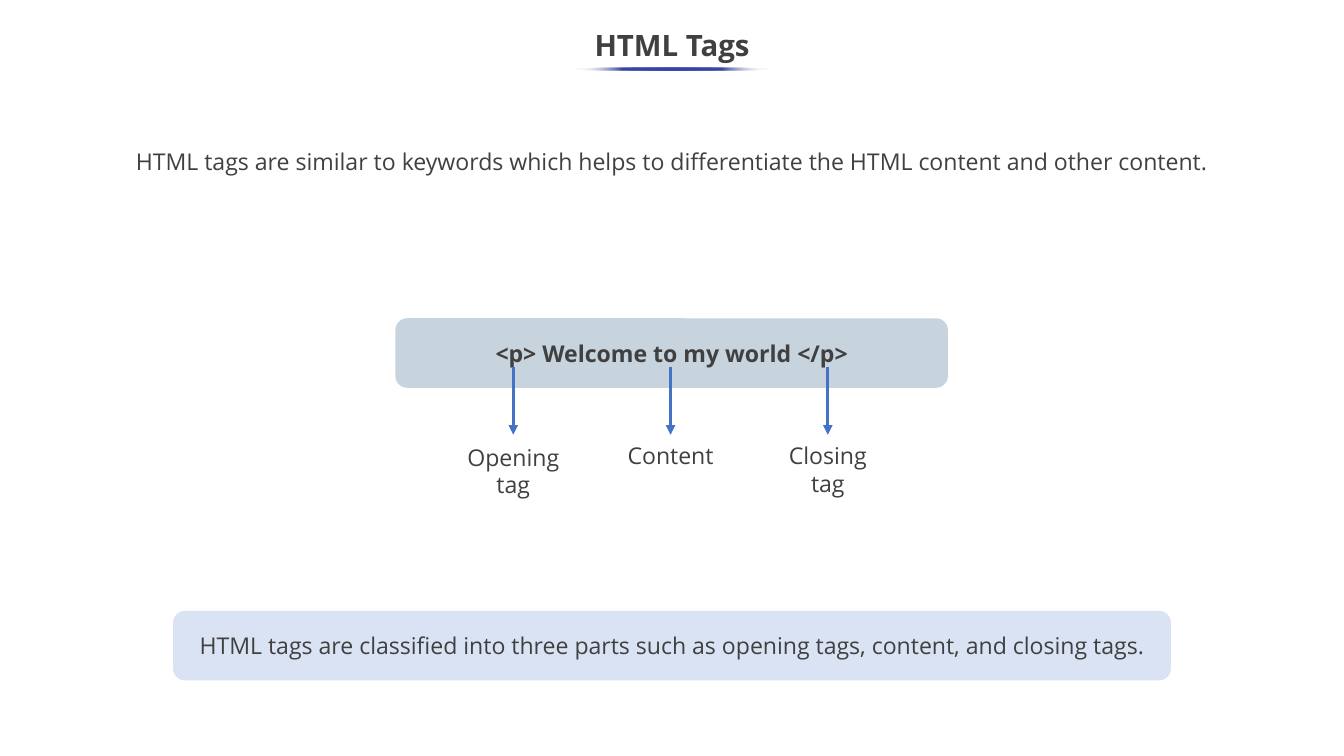
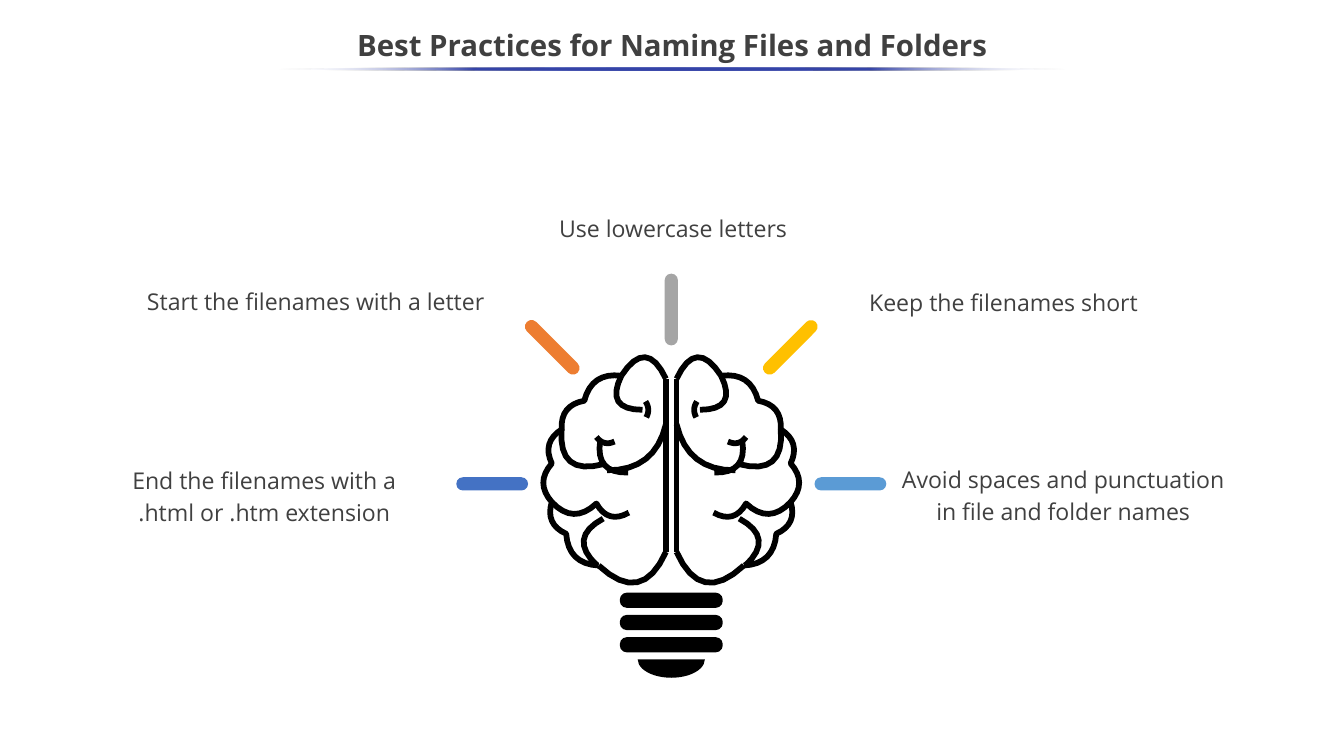
"""Build two slides: HTML tags and best practices for naming files and folders."""
from dataclasses import dataclass
from itertools import pairwise

from pptx import Presentation
from pptx.dml.color import RGBColor
from pptx.enum.shapes import MSO_CONNECTOR as Connector, MSO_SHAPE as Preset
from pptx.enum.text import MSO_ANCHOR as Anchor, MSO_AUTO_SIZE as AutoSize, PP_ALIGN as Align
from pptx.oxml import parse_xml
from pptx.oxml.ns import nsdecls, qn
from pptx.shapes.autoshape import Shape
from pptx.slide import Slide
from pptx.util import Pt

Point = tuple[float, float]

COLORS = {
    "text": "404040", "accent": "3645A9", "white": "FFFFFF", "black": "000000",
    "code": "C7D3DD", "note": "DAE3F3", "blue": "4472C4", "orange": "ED7D31",
    "gray": "A5A5A5", "yellow": "FFC000", "sky": "5B9BD5",
}
FONT = "Open Sans"
SLIDE_WIDTH, SLIDE_HEIGHT = 1280.16, 720
BODY = {"name": FONT, "size": Pt(22), "bold": False}
STRONG = BODY | {"bold": True}
TITLE = STRONG | {"size": Pt(28)}

BULB_X, BRAIN_TOP = 639.4, 337
BRAIN_UNIT = 0.72
CURVE_STEPS = 8


@dataclass(frozen=True)
class Box:
    left: float
    top: float
    width: float
    height: float


@dataclass(frozen=True)
class Label:
    text: str
    box: Box
    spacing: float = 1.0


@dataclass(frozen=True)
class Panel:
    text: str
    box: Box
    color: str
    font: dict


@dataclass(frozen=True)
class Ray:
    x: float
    y: float
    rotation: float
    color: str


@dataclass(frozen=True)
class Fold:
    bulge: float
    points: list[Point]


PANELS = [
    Panel("<p> Welcome to my world </p>", Box(376.6, 303.1, 526.3, 66.2), "code", STRONG),
    Panel("HTML tags are classified into three parts such as opening tags, content, "
          "and closing tags.", Box(164.9, 581.8, 950.4, 66.2), "note", BODY),
]
INTRO = Label("HTML tags are similar to keywords which helps to differentiate the HTML "
              "content and other content.", Box(69.1, 133.2, 1141.2, 67), 1.15)
PART_WIDTH, FIRST_PART_X, PART_STEP = 116.6, 488.9, 149.8
PARTS = [("Opening tag", 418.3, 60.5), ("Content", 416.9, 33.8), ("Closing tag", 416.9, 60.5)]

PRACTICES = [
    Label("Keep the filenames short", Box(779.8, 267.1, 352.1, 36), 1.14),
    Label("Use lowercase letters", Box(465.1, 197.3, 352.1, 36), 1.14),
    Label("Avoid spaces and punctuation in file and folder names",
          Box(848.2, 436.3, 329, 66.2), 1.14),
    Label("Start the filenames with a letter", Box(124.6, 266.4, 352.1, 36), 1.14),
    Label("End the filenames with a .html or .htm extension",
          Box(117.4, 437, 268.6, 66.2), 1.14),
]
RAY_LENGTH, RAY_WIDTH = 68.4, 12.6
RAYS = [
    Ray(BULB_X, 294.8, 90, "gray"),
    Ray(BULB_X + 170.6, 460.8, 0, "sky"),
    Ray(BULB_X - 170.6, 460.8, 0, "blue"),
    Ray(BULB_X + 113.4, 330.8, -45, "yellow"),
    Ray(BULB_X - 113.4, 330.8, 45, "orange"),
]
BRAIN_FOLDS = [
    Fold(0, [(7, 262), (7, 33)]),
    Fold(0.45, [(7, 33), (66, 29)]),
    Fold(0.22, [(66, 29), (115, 62), (145, 100), (158, 145), (158, 196), (139, 238), (96, 280)]),
    Fold(0.35, [(96, 280), (7, 262)]),
    Fold(0.4, [(66, 29), (38, 74)]),
    Fold(0.2, [(85, 154), (7, 93)]),
    Fold(0.35, [(145, 100), (90, 146)]),
    Fold(0.3, [(94, 115), (57, 157)]),
    Fold(0.25, [(158, 196), (99, 198), (56, 210)]),
    Fold(0.35, [(90, 218), (98, 280)]),
    Fold(0.15, [(33, 84), (34, 63)]),
    Fold(0.2, [(99, 110), (75, 116)]),
]


def rgb(color: str) -> RGBColor:
    return RGBColor.from_string(COLORS[color])


def place(box: Box) -> list[Pt]:
    return [Pt(value) for value in (box.left, box.top, box.width, box.height)]


def write(shape: Shape, text: str, font: dict, spacing: float = 1.0, **frame_format) -> None:
    frame = shape.text_frame
    for name, value in ({"word_wrap": True} | frame_format).items():
        setattr(frame, name, value)
    paragraph = frame.paragraphs[0]
    paragraph.text = text
    paragraph.alignment = Align.CENTER
    paragraph.line_spacing = spacing
    for name, value in font.items():
        setattr(paragraph.font, name, value)
    paragraph.font.color.rgb = rgb("text")


def add_filled(slide: Slide, preset: Preset, box: Box, color: str,
               adjustments: tuple[float, ...] = ()) -> Shape:
    shape = slide.shapes.add_shape(preset, *place(box))
    shape.shadow.inherit = False
    shape.fill.solid()
    shape.fill.fore_color.rgb = rgb(color)
    shape.line.fill.background()
    for index, value in enumerate(adjustments):
        shape.adjustments[index] = value
    return shape


def add_rounded(slide: Slide, box: Box, color: str, rounding: float = 0.17) -> Shape:
    return add_filled(slide, Preset.ROUNDED_RECTANGLE, box, color, (rounding,))


def add_label(slide: Slide, label: Label) -> None:
    write(slide.shapes.add_textbox(*place(label.box)), label.text, BODY, label.spacing,
          auto_size=AutoSize.SHAPE_TO_FIT_TEXT)


def add_underline(slide: Slide, width: float) -> None:
    box = Box((SLIDE_WIDTH - width) / 2, 64.4, width, 3)
    shape = add_filled(slide, Preset.OVAL, box, "accent")
    stops = "".join(
        f'<a:gs pos="{position * 1000}"><a:srgbClr val="{COLORS[color]}">'
        f'<a:alpha val="{alpha * 1000}"/></a:srgbClr></a:gs>'
        for position, color, alpha in [
            (0, "white", 0), (25, "accent", 100), (75, "accent", 100), (100, "white", 0)])
    gradient = parse_xml(f'<a:gradFill {nsdecls("a")} rotWithShape="1"><a:gsLst>{stops}</a:gsLst>'
                         '<a:lin ang="10800000" scaled="0"/></a:gradFill>')
    properties = shape.element.spPr
    properties.replace(properties.find(qn("a:solidFill")), gradient)


def add_titled_slide(presentation: Presentation, title: str, underline_width: float) -> Slide:
    slide = presentation.slides.add_slide(presentation.slide_layouts[6])
    box = slide.shapes.add_textbox(*place(Box(0, 18, SLIDE_WIDTH, 54)))
    write(box, title, TITLE, 0.9, vertical_anchor=Anchor.MIDDLE)
    add_underline(slide, underline_width)
    return slide


def add_down_arrow(slide: Slide, x: float, top: float, bottom: float) -> None:
    arrow = slide.shapes.add_connector(Connector.STRAIGHT, Pt(x), Pt(top), Pt(x), Pt(bottom))
    arrow.line.color.rgb = rgb("blue")
    arrow.line.width = Pt(3)
    arrow.line._get_or_add_ln().append(parse_xml(f'<a:tailEnd {nsdecls("a")} type="triangle"/>'))
    arrow.element.spPr.append(parse_xml(f'<a:effectLst {nsdecls("a")}/>'))


def trace(fold: Fold, side: int) -> list[Point]:
    points = [fold.points[0]]
    for (start_x, start_y), (end_x, end_y) in pairwise(fold.points):
        width, height = end_x - start_x, end_y - start_y
        for step in range(1, CURVE_STEPS + 1):
            t = step / CURVE_STEPS
            lift = 4 * fold.bulge * t * (1 - t)
            points.append((start_x + t * width + lift * height,
                           start_y + t * height - lift * width))
    return [(Pt(BULB_X + side * BRAIN_UNIT * x), Pt(BRAIN_TOP + BRAIN_UNIT * y))
            for x, y in points]


def add_brain_half(slide: Slide, side: int) -> None:
    lines = [trace(fold, side) for fold in BRAIN_FOLDS]
    builder = slide.shapes.build_freeform(*lines[0][0])
    for start, *rest in lines:
        builder.move_to(*start)
        builder.add_line_segments(rest, close=False)
    half = builder.convert_to_shape()
    half.shadow.inherit = False
    half.fill.background()
    half.line.color.rgb = rgb("black")
    half.line.width = Pt(5.5)


def add_bulb(slide: Slide) -> None:
    for index in range(3):
        add_rounded(slide, Box(BULB_X - 49, 564.5 + 21.2 * index, 98, 14.4), "black", 0.45)
    add_filled(slide, Preset.CHORD, Box(BULB_X - 32, 610.3, 64, 35.2), "black", (0, 108))
    for side in (1, -1):
        add_brain_half(slide, side)


def build_tags(presentation: Presentation) -> None:
    slide = add_titled_slide(presentation, "HTML Tags", 187.2)
    add_label(slide, INTRO)
    for panel in PANELS:
        write(add_rounded(slide, panel.box, panel.color), panel.text, panel.font,
              vertical_anchor=Anchor.MIDDLE)
    for index, (text, top, height) in enumerate(PARTS):
        x = FIRST_PART_X + PART_STEP * index
        add_down_arrow(slide, x, 350, 414)
        add_label(slide, Label(text, Box(x - PART_WIDTH / 2, top, PART_WIDTH, height)))


def build_naming(presentation: Presentation) -> None:
    slide = add_titled_slide(presentation, "Best Practices for Naming Files and Folders", 751)
    add_bulb(slide)
    for ray in RAYS:
        box = Box(ray.x - RAY_LENGTH / 2, ray.y - RAY_WIDTH / 2, RAY_LENGTH, RAY_WIDTH)
        add_rounded(slide, box, ray.color, 0.5).rotation = ray.rotation
    for label in PRACTICES:
        add_label(slide, label)


def main() -> None:
    presentation = Presentation()
    presentation.slide_width, presentation.slide_height = Pt(SLIDE_WIDTH), Pt(SLIDE_HEIGHT)
    build_tags(presentation)
    build_naming(presentation)
    presentation.save("out.pptx")


if __name__ == "__main__":
    main()
